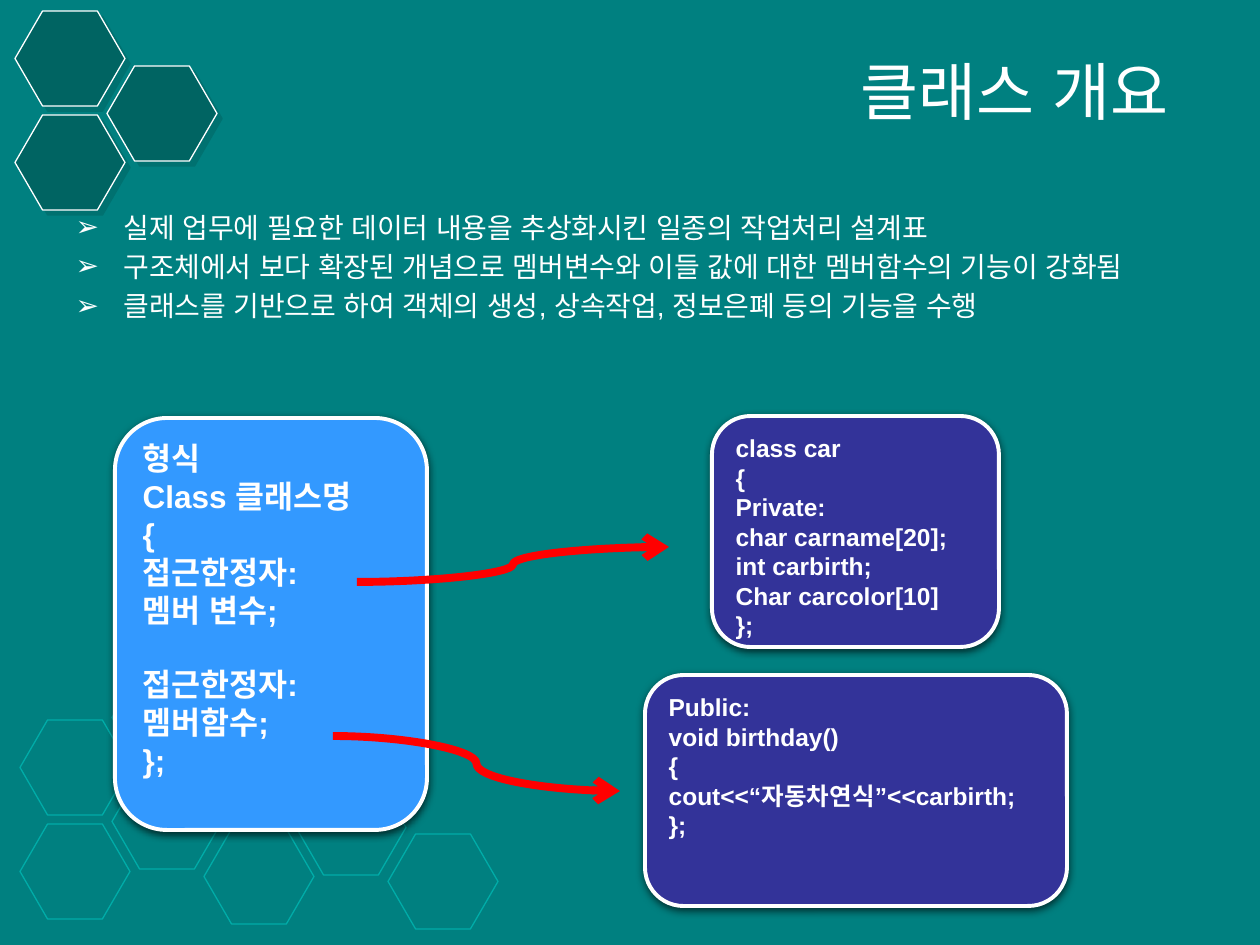
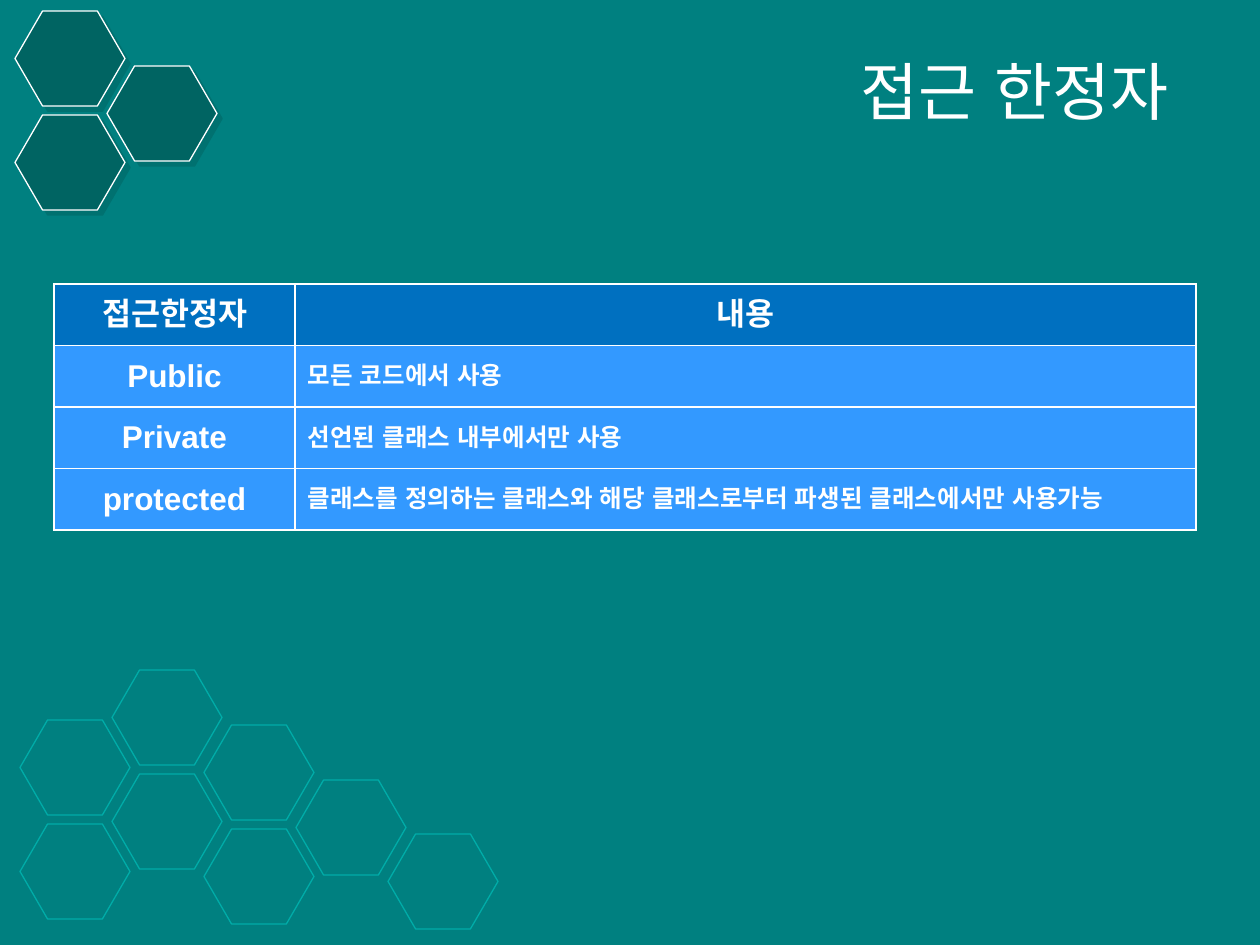
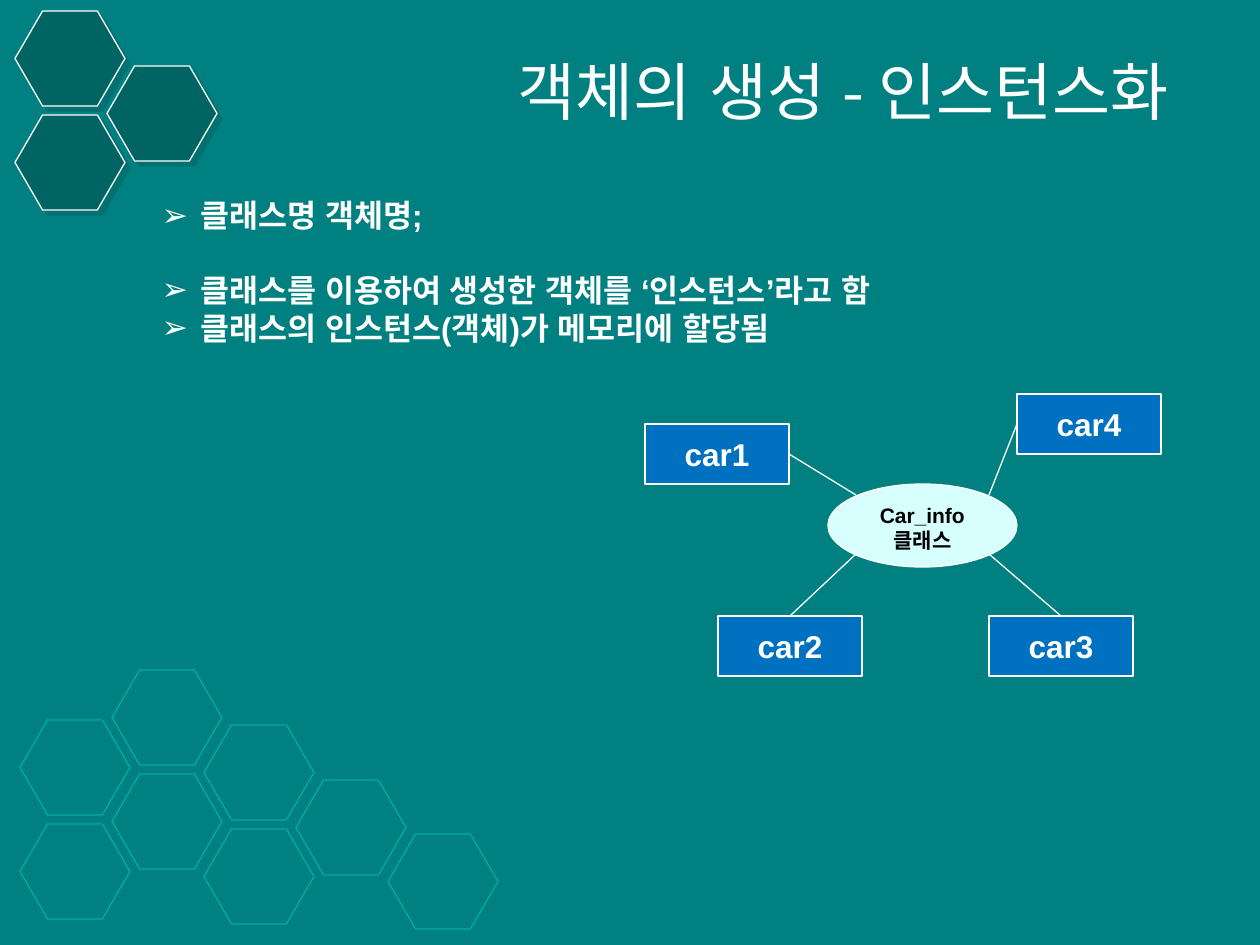
import lxml.etree
import pptx
import pptx.dml.color
import pptx.enum.lang
import pptx.enum.shapes
import pptx.enum.text
import pptx.oxml.ns
import pptx.util

SCALE = 914400 / 126
WHITE = "FFFFFF"
TEAL = "008080"
DARK_TEAL = "006462"
PALE_TEAL = "00ACA8"
SKY = "3399FF"
NAVY = "333399"
BLUE = "0070C0"
MINT = "D6FFFE"
RED = "FF0000"
BLACK = "000000"
BULLET = "➢"
HEX_SHADOW = (DARK_TEAL, 50, 0, 4.2, 45)
BOX_SHADOW = (BLACK, 63, 4.5, 1.5, 90)

rgb = pptx.dml.color.RGBColor.from_string
qn = pptx.oxml.ns.qn
Pt = pptx.util.Pt
SHAPE = pptx.enum.shapes.MSO_SHAPE
CONNECTOR = pptx.enum.shapes.MSO_CONNECTOR
ALIGN = pptx.enum.text.PP_ALIGN
ANCHOR = pptx.enum.text.MSO_ANCHOR


def decorate(item, line, width, fill=None, shadow=None):
    if fill:
        item.fill.solid()
        item.fill.fore_color.rgb = rgb(fill)
    elif hasattr(item, "fill"):
        item.fill.background()
    item.line.color.rgb = rgb(line)
    item.line.width = Pt(width)
    effects = lxml.etree.SubElement(item.element.spPr, qn("a:effectLst"))
    if shadow:
        colour, alpha, blur, distance, angle = shadow
        outer = lxml.etree.SubElement(
            effects, qn("a:outerShdw"), blurRad=str(Pt(blur)), dist=str(Pt(distance)),
            dir=str(angle * 60000), algn="ctr", rotWithShape="0")
        tint = lxml.etree.SubElement(outer, qn("a:srgbClr"), val=colour)
        lxml.etree.SubElement(tint, qn("a:alpha"), val=str(alpha * 1000))


def write(frame, lines, size, bold=True, colour=WHITE, font="Arial",
          align=ALIGN.LEFT, anchor=ANCHOR.TOP, indent=0, gap=0, gaps=None):
    frame.text = "\n".join(lines)
    frame.word_wrap = True
    frame.vertical_anchor = anchor
    for index, paragraph in enumerate(frame.paragraphs):
        if indent:
            properties = paragraph._p.get_or_add_pPr()
            properties.set("marL", str(round(indent * SCALE)))
            properties.set("indent", str(-round(indent * SCALE)))
            lxml.etree.SubElement(properties, qn("a:buFont"), typeface="Arial")
            lxml.etree.SubElement(properties, qn("a:buChar"), char=BULLET)
        paragraph.alignment = align
        paragraph.space_before = Pt((gaps or {}).get(index, gap) if index else 0)
        for run in paragraph.runs:
            run.font.size = Pt(size)
            run.font.bold = bold
            run.font.name = font
            run.font.color.rgb = rgb(colour)
            run.font.language_id = pptx.enum.lang.MSO_LANGUAGE_ID.KOREAN
            lxml.etree.SubElement(run.font._element, qn("a:ea"), typeface=font)


deck = pptx.Presentation()
deck.slide_width = round(1260 * SCALE)
deck.slide_height = round(945 * SCALE)
master = deck.slide_master
master.background.fill.solid()
master.background.fill.fore_color.rgb = rgb(TEAL)

pages = []
for heading, layout in (("클래스 개요", 1), ("접근 한정자", 5), ("객체의 생성 - 인스턴스화", 1)):
    page = deck.slides.add_slide(deck.slide_layouts[layout])
    title = page.shapes.title
    title.left, title.top, title.width, title.height = [round(v * SCALE) for v in (233, 35, 948, 110)]
    write(title.text_frame, [heading], 36, bold=False, font="Noto Sans CJK KR",
          align=ALIGN.RIGHT, anchor=ANCHOR.MIDDLE)
    title.text_frame.auto_size = pptx.enum.text.MSO_AUTO_SIZE.NONE
    pages.append(page)
overview, access, instances = pages

honeycombs = (
    (20, ((720, 2), (670, 2), (725, 2), (780, 1), (834, 1)), PALE_TEAL, None, None),
    (15, ((11, 2), (66, 1)), WHITE, DARK_TEAL, HEX_SHADOW),
)
cell_id = 100
for left, columns, outline, fill, shadow in honeycombs:
    for column, (top, count) in enumerate(columns):
        for row in range(count):
            box = (left + 92 * column, top + 104 * row, 110, 95)
            hexagon = overview.shapes.add_shape(SHAPE.HEXAGON, *[round(v * SCALE) for v in box])
            hexagon.adjustments[0] = 0.29
            decorate(hexagon, outline, 0.75, fill, shadow)
            hexagon.element.nvSpPr.cNvPr.set("id", str(cell_id))
            cell_id += 1
            master.shapes.element.append(hexagon.element)

lists = (
    (overview, (63, 204, 1143, 507), 16, False, 48, 3.2, None, [
        "실제 업무에 필요한 데이터 내용을 추상화시킨 일종의 작업처리 설계표",
        "구조체에서 보다 확장된 개념으로 멤버변수와 이들 값에 대한 멤버함수의 기능이 강화됨",
        "클래스를 기반으로 하여 객체의 생성, 상속작업, 정보은폐 등의 기능을 수행"]),
    (instances, (149, 190, 781, 204), 18, True, 39, 0, {1: 21}, [
        "클래스명 객체명;",
        "클래스를 이용하여 생성한 객체를 ‘인스턴스’라고 함",
        "클래스의 인스턴스(객체)가 메모리에 할당됨"]),
)
for page, box, size, bold, indent, gap, gaps, lines in lists:
    points = page.placeholders[1]
    points.left, points.top, points.width, points.height = [round(v * SCALE) for v in box]
    write(points.text_frame, lines, size, bold=bold, indent=indent, gap=gap, gaps=gaps)
    points.text_frame.auto_size = pptx.enum.text.MSO_AUTO_SIZE.NONE

code_boxes = (
    ((115, 418, 312, 412), SKY, 18, {5: 21}, [
        "형식", "Class 클래스명", "{", "접근한정자:", "멤버 변수;",
        "접근한정자:", "멤버함수;", "};"]),
    ((712, 416, 287, 231), NAVY, 14, None, [
        "class car", "{", "Private:", "char carname[20];", "int carbirth;",
        "Char carcolor[10]", "};"]),
    ((645, 675, 422, 231), NAVY, 14, None, [
        "Public:", "void birthday()", "{", "cout<<“자동차연식”<<carbirth;", "};"]),
)
for box, fill, size, gaps, lines in code_boxes:
    code = overview.shapes.add_shape(SHAPE.ROUNDED_RECTANGLE, *[round(v * SCALE) for v in box])
    decorate(code, WHITE, 2.25, fill, BOX_SHADOW)
    write(code.text_frame, lines, size, gaps=gaps)

for ends in ((357, 582, 669, 547), (333, 736, 620, 791)):
    arrow = overview.shapes.add_connector(CONNECTOR.CURVE, *[round(v * SCALE) for v in ends])
    decorate(arrow, RED, 4.5)
    lxml.etree.SubElement(arrow.element.spPr.find(qn("a:ln")), qn("a:tailEnd"), type="arrow")

modifiers = (
    ("접근한정자", "내용"),
    ("Public", "모든 코드에서 사용"),
    ("Private", "선언된 클래스 내부에서만 사용"),
    ("protected", "클래스를 정의하는 클래스와 해당 클래스로부터 파생된 클래스에서만 사용가능"),
)
grid = access.shapes.add_table(4, 2, *[round(v * SCALE) for v in (54, 284, 1142, 246)]).table
for column, width in zip(grid.columns, (241, 901)):
    column.width = round(width * SCALE)
for row, entries in enumerate(modifiers):
    for column, entry in enumerate(entries):
        cell = grid.cell(row, column)
        cell.fill.solid()
        cell.fill.fore_color.rgb = rgb(SKY if row else BLUE)
        cell.vertical_anchor = ANCHOR.MIDDLE
        description = row > 0 and column == 1
        write(cell.text_frame, [entry], 14 if description else 18,
              align=ALIGN.LEFT if description else ALIGN.CENTER, anchor=None)
        for position, side in enumerate(("a:lnL", "a:lnR", "a:lnT", "a:lnB")):
            border = lxml.etree.Element(qn(side), w=str(Pt(1)))
            paint = lxml.etree.SubElement(border, qn("a:solidFill"))
            lxml.etree.SubElement(paint, qn("a:srgbClr"), val=WHITE)
            cell._tc.get_or_add_tcPr().insert(position, border)

cars = (
    ("car1", 645, 424, 3, (856, 495)),
    ("car4", 1017, 394, 1, (989, 495)),
    ("car2", 718, 616, 0, (856, 554)),
    ("car3", 989, 616, 0, (989, 554)),
)
for name, left, top, side, target in cars:
    car = instances.shapes.add_shape(SHAPE.RECTANGLE, *[round(v * SCALE) for v in (left, top, 144, 60)])
    decorate(car, WHITE, 0.75, BLUE)
    write(car.text_frame, [name], 18, align=ALIGN.CENTER, anchor=ANCHOR.MIDDLE)
    link = instances.shapes.add_connector(
        CONNECTOR.STRAIGHT, *[round(v * SCALE) for v in (left, top, *target)])
    link.begin_connect(car, side)
    decorate(link, WHITE, 0.75)

car_info = instances.shapes.add_shape(SHAPE.OVAL, *[round(v * SCALE) for v in (828, 484, 189, 83)])
decorate(car_info, WHITE, 0.75, MINT)
write(car_info.text_frame, ["Car_info", "클래스"], 12, colour=BLACK, align=ALIGN.CENTER)

deck.save("out.pptx")
